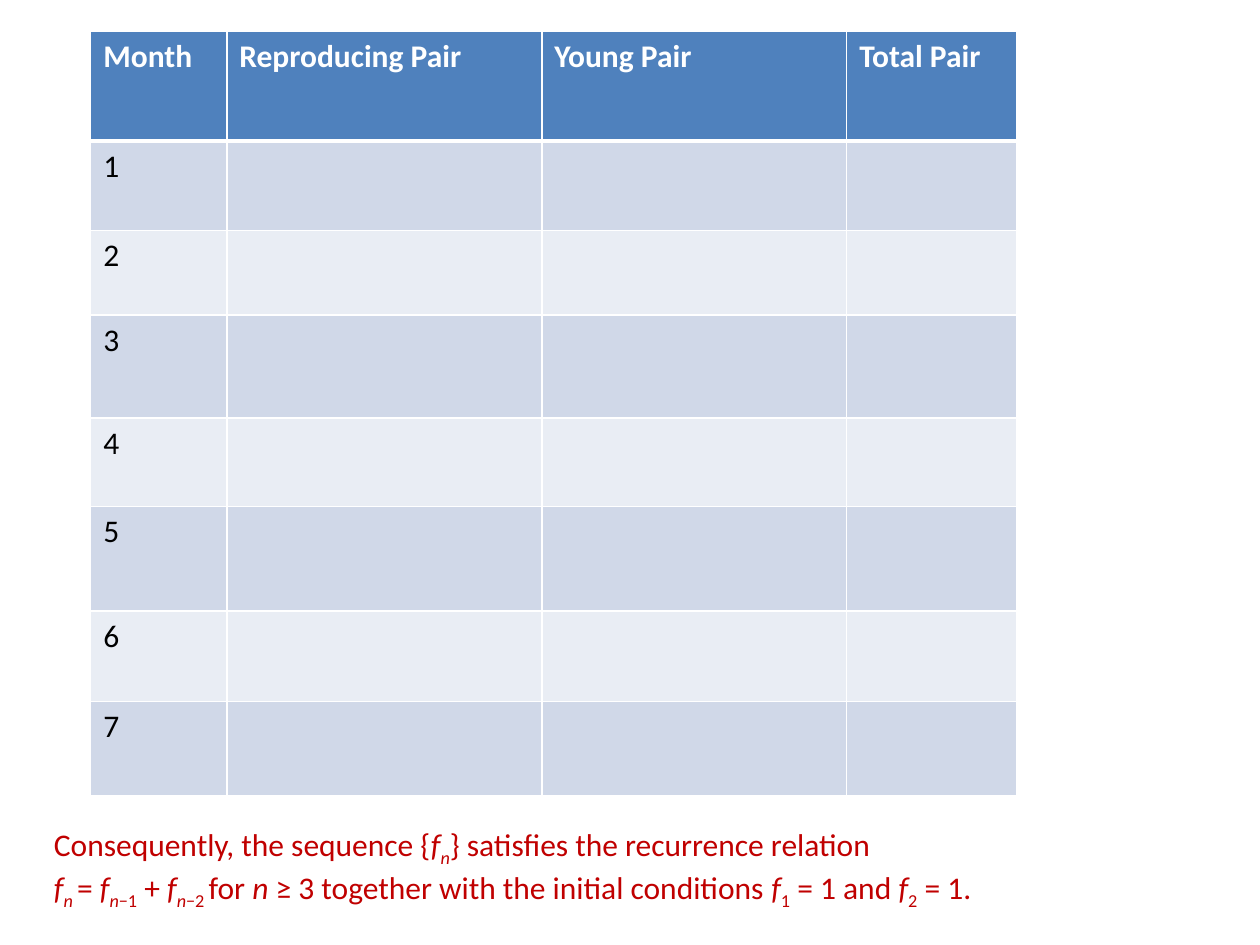
from pptx import Presentation
from pptx.dml.color import RGBColor
from pptx.enum.text import MSO_AUTO_SIZE as AutoSize
from pptx.oxml.ns import qn
from pptx.util import Pt
from lxml.etree import SubElement

EMU_PER_PX = 9144
WHITE, BLACK, RED = "FFFFFF", "000000", "C00000"
HEADER_FILL, BAND_FILLS = "4F81BD", ("D0D8E8", "E9EDF4")


def px(length):
    return length * EMU_PER_PX


def color(hex_string):
    return RGBColor.from_string(hex_string)


def write(para, text, size=18, font="Calibri", fill=BLACK, bold=False, italic=False, sub=False):
    span = para.add_run()
    span.text = text
    span.font.size = Pt(size)
    span.font.name = font
    span.font.bold = bold
    span.font.italic = italic
    span.font.color.rgb = color(fill)
    if sub:
        span.font._element.set("baseline", "-25000")


def add_borders(cell, fill, bottom=1, top=1):
    properties = cell._tc.get_or_add_tcPr()
    for side, points in (("L", 1), ("R", 1), ("T", top), ("B", bottom)):
        line = SubElement(properties, qn(f"a:ln{side}"), w=str(Pt(points)))
        solid = SubElement(line, qn("a:solidFill"))
        SubElement(solid, qn("a:srgbClr"), val=fill)


class SlideBuilder:
    def __init__(self, deck):
        self.page = deck.slides.add_slide(deck.slide_layouts[6])

    def table(self, left, top, widths, heights, rows):
        frame = self.page.shapes.add_table(
            len(rows), len(widths), px(left), px(top), px(sum(widths)), px(sum(heights)))
        grid = frame.table
        for column, width in zip(grid.columns, widths):
            column.width = px(width)
        for index, (row, height) in enumerate(zip(rows, heights)):
            grid.rows[index].height = px(height)
            header = index == 0
            for cell, text in zip(grid.rows[index].cells, row):
                add_borders(cell, WHITE, bottom=3 if header else 1, top=3 if index == 1 else 1)
                cell.fill.solid()
                cell.fill.fore_color.rgb = color(HEADER_FILL if header else BAND_FILLS[(index - 1) % 2])
                if text:
                    write(cell.text_frame.paragraphs[0], text,
                          fill=WHITE if header else BLACK, bold=header)

    def text(self, left, top, width, height, lines, fill):
        box = self.page.shapes.add_textbox(px(left), px(top), px(width), px(height))
        frame = box.text_frame
        frame.word_wrap = True
        frame.auto_size = AutoSize.SHAPE_TO_FIT_TEXT
        for index, line in enumerate(lines):
            para = frame.add_paragraph() if index else frame.paragraphs[0]
            for text, style in line:
                write(para, text, fill=fill, **style)


PLAIN, ITALIC, SUB = {}, {"italic": True}, {"sub": True}
ITALIC_SUB = {**ITALIC, **SUB}
F, N = ("f", ITALIC), ("n", ITALIC_SUB)

HEADINGS = ["Month", "Reproducing Pair", "Young Pair", "Total Pair"]
MONTHS = [[str(month), "", "", ""] for month in range(1, 8)]
CONCLUSION = [
    [("Consequently, the sequence {", PLAIN), F, N,
     ("} satisfies the recurrence relation", PLAIN)],
    [F, ("n ", ITALIC_SUB), ("= ", PLAIN), F, N, ("−1", SUB), (" + ", PLAIN),
     F, N, ("−2 ", SUB), ("for ", PLAIN), ("n ", ITALIC),
     ("≥ 3 together with the initial conditions ", PLAIN),
     F, ("1", SUB), (" = 1 and ", PLAIN), F, ("2", SUB), (" = 1.", PLAIN)],
]


def main():
    deck = Presentation()
    deck.slide_width, deck.slide_height = px(1000), px(750)
    slide = SlideBuilder(deck)
    slide.table(72, 25, [108, 250, 242, 135],
                [87, 71, 67, 82, 70, 83, 72, 75], [HEADINGS] + MONTHS)
    slide.text(33, 650, 900, 71, CONCLUSION, fill=RED)
    deck.save("out.pptx")


if __name__ == "__main__":
    main()
